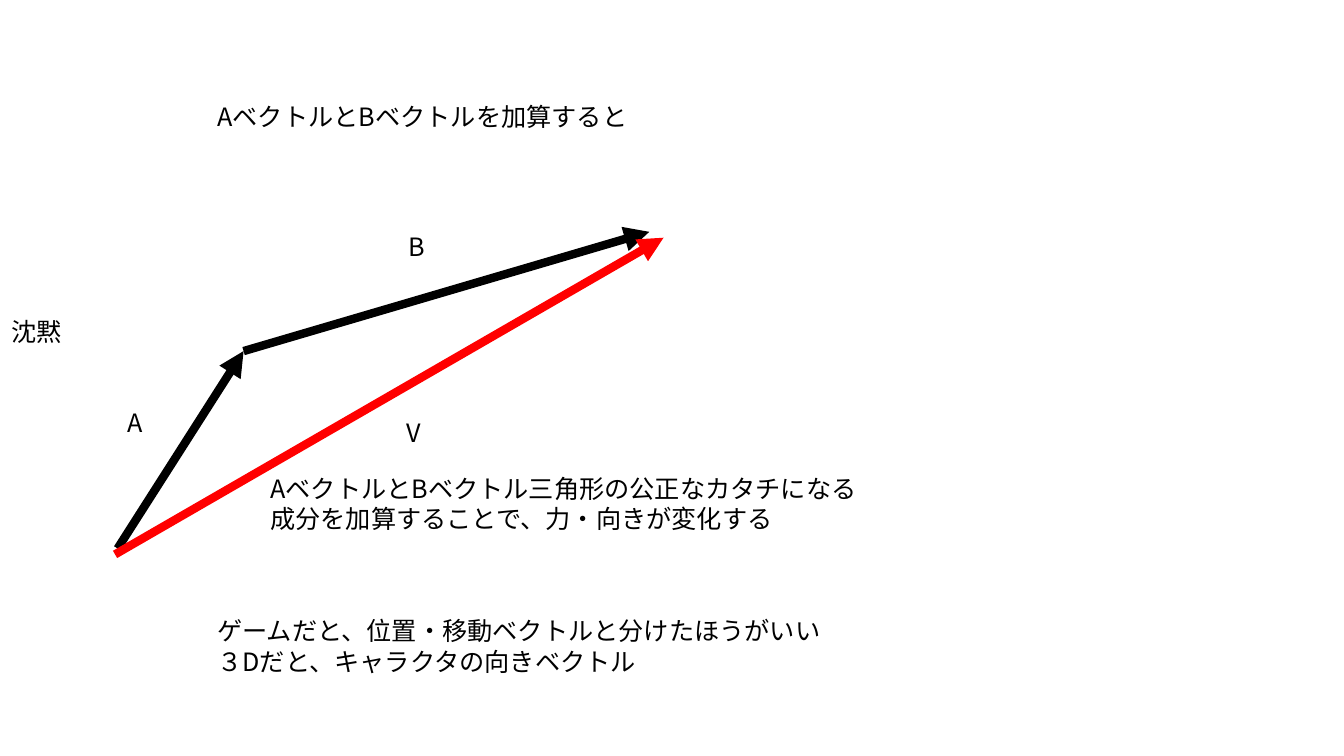
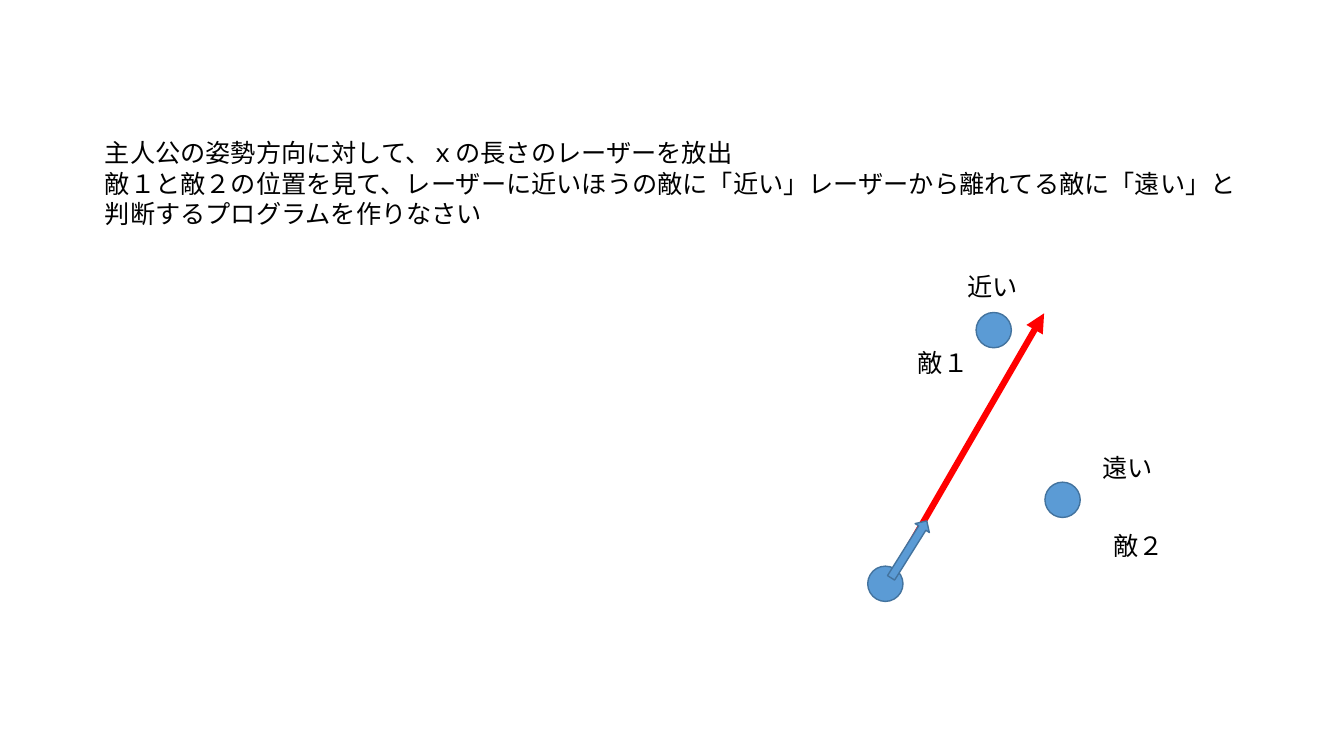
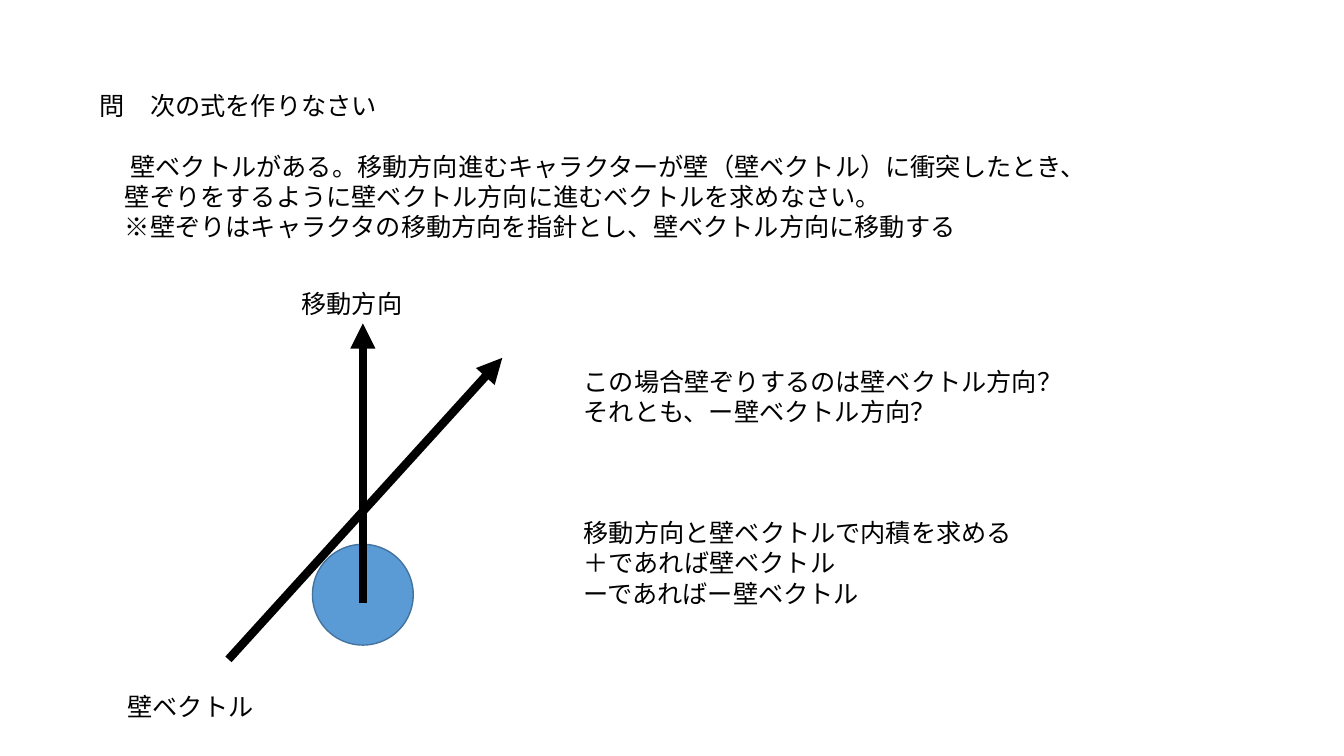
from lxml.etree import SubElement
from pptx import Presentation
from pptx.dml.color import RGBColor
from pptx.enum.shapes import MSO_CONNECTOR, MSO_SHAPE
from pptx.oxml.ns import qn
from pptx.util import Inches, Pt

LINE = MSO_CONNECTOR.STRAIGHT
DISC = MSO_SHAPE.OVAL
BLOCK = MSO_SHAPE.DOWN_ARROW

FONT, SIZE, PITCH = "Noto Sans CJK JP", 18, 21.6
BLACK, RED, BLUE, EDGE = "000000", "FF0000", "5B9BD5", "43739E"
COLS, ROWS = 160, 90
CELL = Inches(1 / 12)

hue = RGBColor.from_string


def write(page, text, x, y, wide=8.5, gaps=None, inset=None):
    """Put text at a column and row.

    gaps maps a line to the empty lines above it,
    inset maps a line to its left margin and first indent in points.
    """
    lines = text.split("\n")
    gaps, inset = gaps or {}, inset or {}
    high = 1.2 + PITCH / 6 * (len(lines) + sum(gaps.values()))
    box = page.shapes.add_textbox(*[int(n * CELL) for n in (x, y, wide, high)])
    frame = box.text_frame
    frame.word_wrap = True
    for i, line in enumerate(lines):
        para = frame.paragraphs[0] if i == 0 else frame.add_paragraph()
        para.line_spacing = Pt(PITCH)
        para.space_before = Pt(PITCH * gaps.get(i, 0))
        left, first = inset.get(i, (0, 0))
        props = para._p.get_or_add_pPr()
        props.set("marL", str(Pt(left)))
        props.set("indent", str(Pt(first)))
        run = para.add_run()
        run.text = line
        run.font.size = Pt(SIZE)
        run.font.color.rgb = hue(BLACK)
        run.font.name = FONT
        SubElement(run._r.get_or_add_rPr(), qn("a:ea")).set("typeface", FONT)


def draw(page, kind, spot, tone=BLUE, thick=1, turn=0):
    """Draw an arrow from two points, or a shape from left, top, width, height."""
    ends = [int(n * CELL) for n in spot]
    if kind == LINE:
        item = page.shapes.add_connector(kind, *ends)
        item.line.color.rgb = hue(tone)
        SubElement(item.line._get_or_add_ln(), qn("a:tailEnd")).set("type", "triangle")
        SubElement(item._element.spPr, qn("a:effectLst"))
    else:
        item = page.shapes.add_shape(kind, *ends)
        item.shadow.inherit = False
        item.fill.solid()
        item.fill.fore_color.rgb = hue(tone)
        item.line.color.rgb = hue(EDGE)
        item.rotation = turn
    item.line.width = Pt(thick)


deck = Presentation()
deck.slide_width, deck.slide_height = COLS * CELL, ROWS * CELL
blank = deck.slide_layouts[6]
add, laser, wall = [deck.slides.add_slide(blank) for _ in range(3)]

# Vector addition
start, joint = (14, 65.3), (29, 41.8)
draw(add, LINE, (*joint, 77.3, 27.6), BLACK, 6)
draw(add, LINE, (*start, *joint), BLACK, 6)
draw(add, LINE, (13.7, 66, 79, 28.3), RED, 6)
for name, x, y in (("A", 14, 47.9), ("V", 47.2, 49.1), ("B", 47.5, 27)):
    write(add, name, x, y, 4.4)
write(add, "AベクトルとBベクトルを加算すると", 24.7, 11.5, 51.8)
write(add, "AベクトルとBベクトル三角形の公正なカタチになる\n"
      "成分を加算することで、力・向きが変化する", 31, 55.7, 73.1)
write(add, "ゲームだと、位置・移動ベクトルと分けたほうがいい\n"
      "３Dだと、キャラクタの向きベクトル", 24.7, 72.7, 75.1)
write(add, "沈黙", 0.2, 37.1)

# Laser and enemies
draw(laser, LINE, (105.6, 69.6, 124.3, 37.3), RED, 4.5)
write(laser, "主人公の姿勢方向に対して、ｘの長さのレーザーを放出\n"
      "敵１と敵２の位置を見て、レーザーに近いほうの敵に「近い」レーザーから離れてる敵に「遠い」と\n"
      "判断するプログラムを作りなさい", 11.3, 15.8, 138.7)
for x, y in ((116.2, 37.2), (103.3, 67.4), (124.4, 57.4)):
    draw(laser, DISC, (x, y, 4.2, 4.2))
draw(laser, BLOCK, (107.2, 61.4, 2, 8), turn=212.1)
for name, x, y in (("近い", 114, 31.7), ("敵１", 108.1, 40.7),
                   ("敵２", 131.4, 62.6), ("遠い", 130.1, 53.3)):
    write(laser, name, x, y)

# Sliding along a wall
draw(wall, DISC, (37.2, 64.8, 12, 12))
write(wall, "問　次の式を作りなさい\n"
      "壁ベクトルがある。移動方向進むキャラクターが壁（壁ベクトル）に衝突したとき、\n"
      "壁ぞりをするように壁ベクトル方向に進むベクトルを求めなさい。\n"
      "※壁ぞりはキャラクタの移動方向を指針とし、壁ベクトル方向に移動する",
      10.7, 10.2, 121.4, gaps={1: 1},
      inset={1: (SIZE, 4), 2: (SIZE, 0), 3: (SIZE, 0)})
draw(wall, LINE, (27.2, 78.5, 59.8, 42.6), BLACK, 6)
draw(wall, LINE, (43.2, 71.8, 43.2, 38.5), BLACK, 6)
write(wall, "壁ベクトル", 14, 81.7, 17.5)
write(wall, "移動方向", 34.7, 33.7, 14.5)
write(wall, "この場合壁ぞりするのは壁ベクトル方向？\n"
      "それとも、ー壁ベクトル方向？\n"
      "移動方向と壁ベクトルで内積を求める\n"
      "＋であれば壁ベクトル\n"
      "ーであればー壁ベクトル", 68.3, 43, 60, gaps={2: 3})

deck.save("out.pptx")
